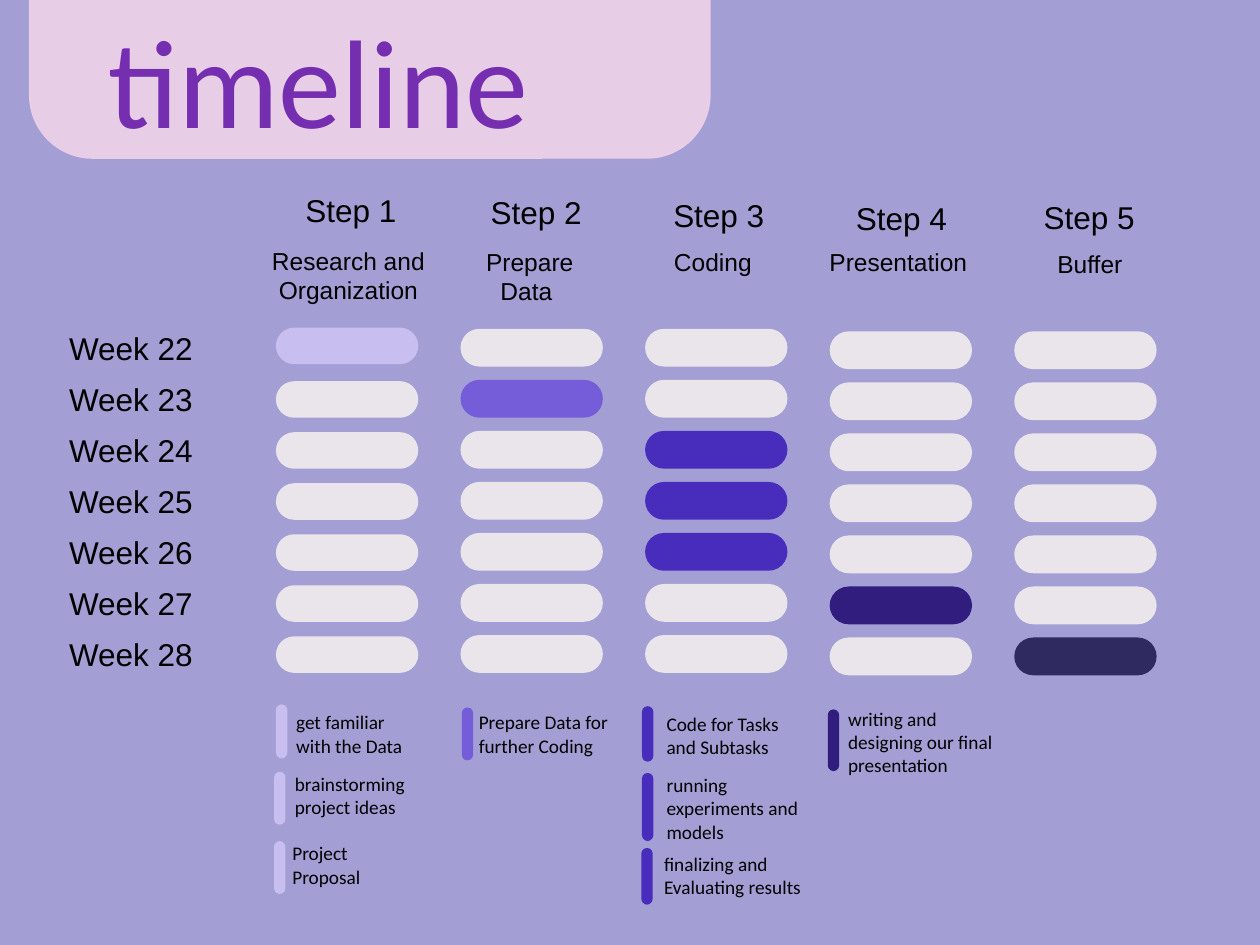
from dataclasses import dataclass

from pptx import Presentation
from pptx.dml.color import RGBColor
from pptx.enum.shapes import MSO_SHAPE
from pptx.enum.text import MSO_ANCHOR, MSO_AUTO_SIZE, PP_ALIGN
from pptx.util import Inches, Pt

ROUND = MSO_SHAPE.ROUNDED_RECTANGLE
MIDDLE = MSO_ANCHOR.MIDDLE
GROW = MSO_AUTO_SIZE.SHAPE_TO_FIT_TEXT
LEFT, CENTER = PP_ALIGN.LEFT, PP_ALIGN.CENTER

BACK = RGBColor(0xA3, 0x9E, 0xD4)
PINK = RGBColor(0xE8, 0xCD, 0xE7)
PURPLE = RGBColor(0x76, 0x2E, 0xB1)
BLACK = RGBColor(0, 0, 0)
EMPTY = RGBColor(0xEA, 0xE5, 0xEB)
LILAC = RGBColor(0xC8, 0xBE, 0xF0)
VIOLET = RGBColor(0x75, 0x5D, 0xD9)
INDIGO = RGBColor(0x48, 0x2C, 0xBC)
DEEP = RGBColor(0x30, 0x1D, 0x7E)
NIGHT = RGBColor(0x2F, 0x2B, 0x60)

TITLE = {"name": "Calibri", "size": Pt(72)}
HEAD = {"name": "Arial", "size": Pt(18)}
LABEL = {"name": "Arial", "size": Pt(14)}
SMALL = {"name": "Calibri", "size": Pt(11)}
TIGHT = {f"margin_{side}": Inches(0.04) for side in ("left", "top", "right", "bottom")}

WEEKS = range(22, 29)
ROW = 0.405
COLUMN = 1.465
THICK = 0.09

Box = tuple[float, float, float, float]


@dataclass
class Step:
    name: str
    color: RGBColor
    weeks: tuple[int, ...]
    top: float
    high: float
    head: Box
    label: Box
    lift: float = 0


@dataclass
class Note:
    text: str
    color: RGBColor
    bar: tuple[float, float, float]
    box: Box


STEPS = [
    Step("Research and Organization", LILAC, (22,), 2.62, 0.29,
         (2.22, 1.47, 1.13, 0.4), (1.97, 1.9, 1.59, 0.57), 0.02),
    Step("Prepare Data ", VIOLET, (23,), 2.61, 0.3,
         (3.69, 1.48, 1.13, 0.4), (3.62, 1.91, 1.17, 0.57)),
    Step("Coding ", INDIGO, (24, 25, 26), 2.61, 0.3,
         (5.12, 1.51, 1.17, 0.4), (5.12, 1.91, 1.13, 0.34)),
    Step("Presentation", DEEP, (27,), 2.63, 0.3,
         (6.59, 1.53, 1.13, 0.4), (6.47, 1.91, 1.32, 0.34)),
    Step("Buffer", NIGHT, (28,), 2.63, 0.3,
         (8.08, 1.52, 1.13, 0.4), (7.86, 1.93, 1.58, 0.34)),
]

NOTES = [
    Note("get familiar with the Data", LILAC, (2.02, 5.76, 0.43), (2.31, 5.6, 1.01, 0.45)),
    Note("brainstorming\nproject ideas", LILAC, (2.01, 6.29, 0.42), (2.3, 6.09, 1.01, 0.45)),
    Note("Project Proposal", LILAC, (2.01, 6.84, 0.42), (2.28, 6.64, 1.08, 0.45)),
    Note("Prepare Data for further Coding", VIOLET, (3.5, 5.78, 0.42), (3.76, 5.6, 1.34, 0.45)),
    Note("Code for Tasks and Subtasks", INDIGO, (4.92, 5.78, 0.44), (5.25, 5.61, 1.24, 0.45)),
    Note("running\nexperiments and models", INDIGO, (4.87, 6.36, 0.54), (5.25, 6.1, 1.15, 0.64)),
    Note("finalizing and\nEvaluating results", INDIGO, (4.91, 6.91, 0.45), (5.23, 6.72, 1.25, 0.45)),
    Note("writing and designing our final presentation", DEEP, (6.37, 5.83, 0.49),
         (6.69, 5.57, 1.29, 0.63)),
]


def add_pill(slide, box: Box, color: RGBColor, curve: float = 0.5, turn: float = 0) -> None:
    pill = slide.shapes.add_shape(ROUND, *map(Inches, box))
    pill.adjustments[0] = curve
    pill.rotation = turn
    pill.shadow.inherit = False
    pill.fill.solid()
    pill.fill.fore_color.rgb = color
    pill.line.fill.background()


def add_text(slide, box: Box, text: str, font: dict, align: PP_ALIGN = LEFT,
             color: RGBColor = BLACK, frame: dict | None = None, space: float = 1) -> None:
    body = slide.shapes.add_textbox(*map(Inches, box)).text_frame
    body.text = text
    for key, value in ({"word_wrap": True, "auto_size": GROW} | (frame or {})).items():
        setattr(body, key, value)
    for line in body.paragraphs:
        line.alignment = align
        line.line_spacing = space
        for run in line.runs:
            run.font.color.rgb = color
            for key, value in font.items():
                setattr(run.font, key, value)


def add_step(slide, index: int, step: Step) -> None:
    add_text(slide, step.head, f"Step {index + 1}", HEAD, CENTER)
    add_text(slide, step.label, step.name, LABEL, CENTER)
    for row, week in enumerate(WEEKS):
        top = step.top + row * ROW - (0 if row else step.lift)
        color = step.color if week in step.weeks else EMPTY
        add_pill(slide, (2.19 + index * COLUMN, top, 1.13, step.high), color)


def add_note(slide, note: Note) -> None:
    add_pill(slide, (*note.bar, THICK), note.color, turn=90)
    add_text(slide, note.box, note.text, SMALL, frame=TIGHT)


def main() -> None:
    deck = Presentation()
    deck.slide_width, deck.slide_height = Inches(10), Inches(7.5)
    slide = deck.slides.add_slide(deck.slide_layouts[6])
    slide.background.fill.solid()
    slide.background.fill.fore_color.rgb = BACK

    add_pill(slide, (0.23, -1.71, 5.41, 2.97), PINK, curve=0.17)
    add_text(slide, (0.76, 0, 4.66, 1.39), "timeline", TITLE, color=PURPLE,
             frame={"vertical_anchor": MIDDLE, "auto_size": MSO_AUTO_SIZE.NONE}, space=0.9)
    for row, week in enumerate(WEEKS):
        add_text(slide, (0.45, 2.56 + row * ROW, 1.48, 0.4), f"Week {week}", HEAD)
    for index, step in enumerate(STEPS):
        add_step(slide, index, step)
    for note in NOTES:
        add_note(slide, note)

    deck.save("out.pptx")


if __name__ == "__main__":
    main()
